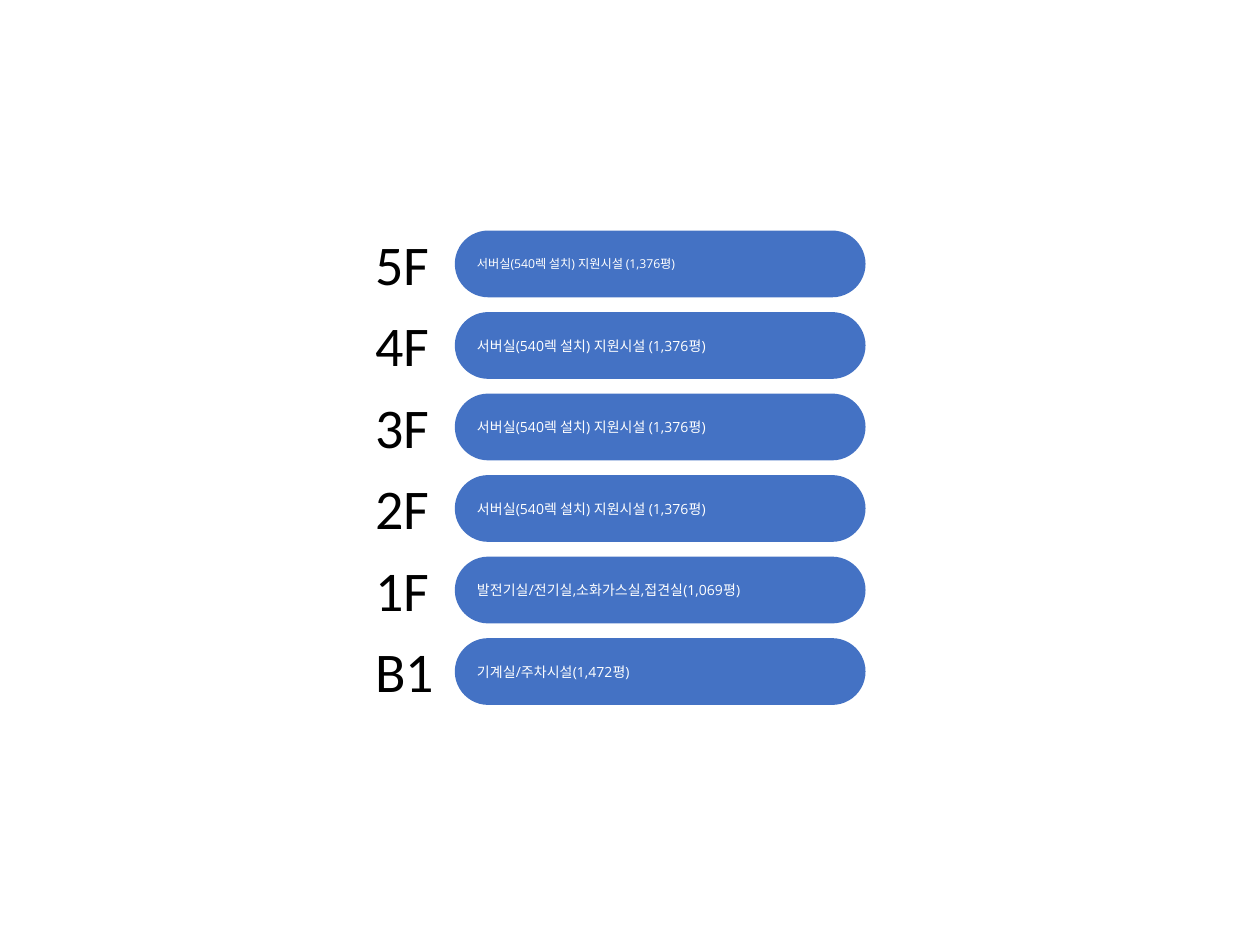
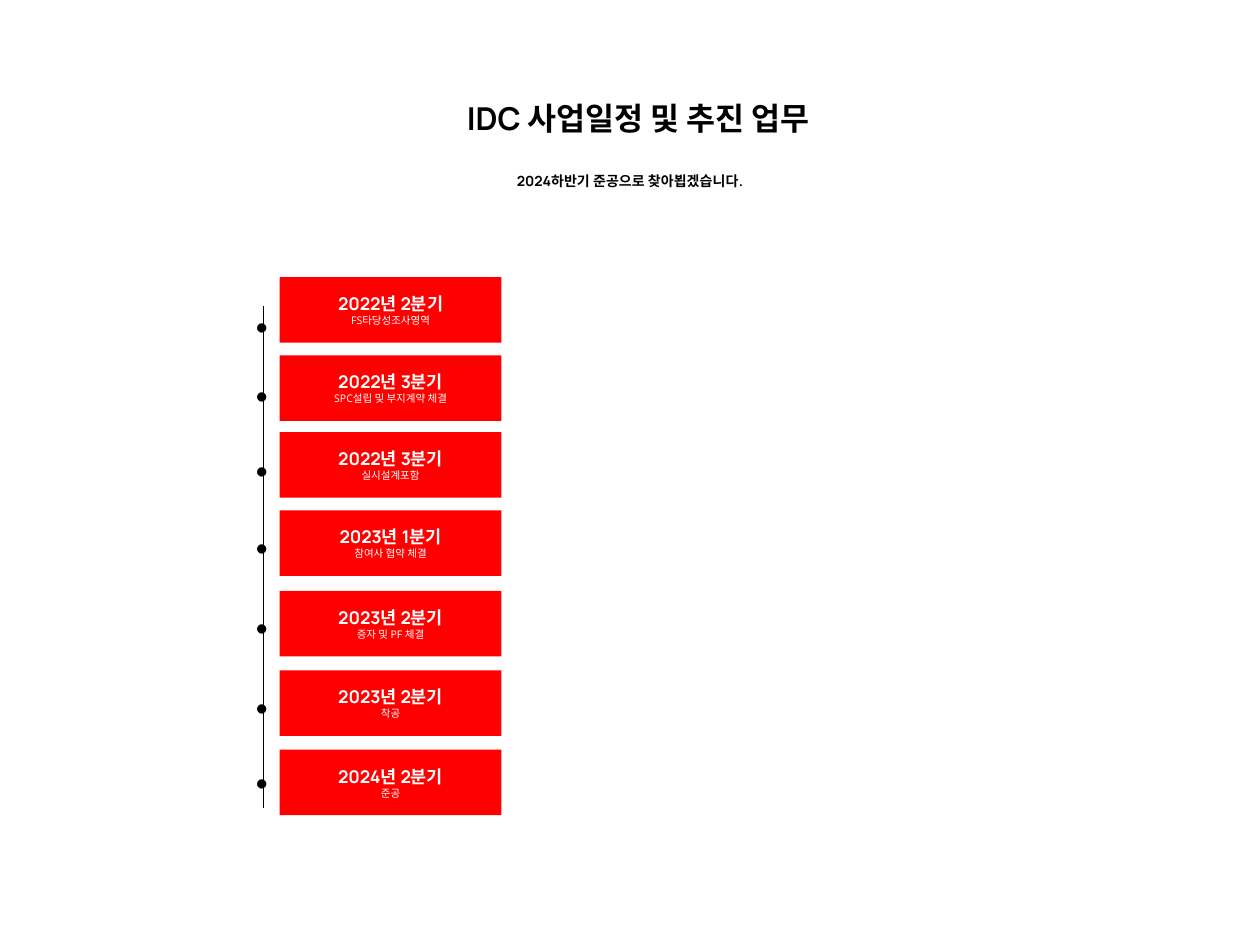
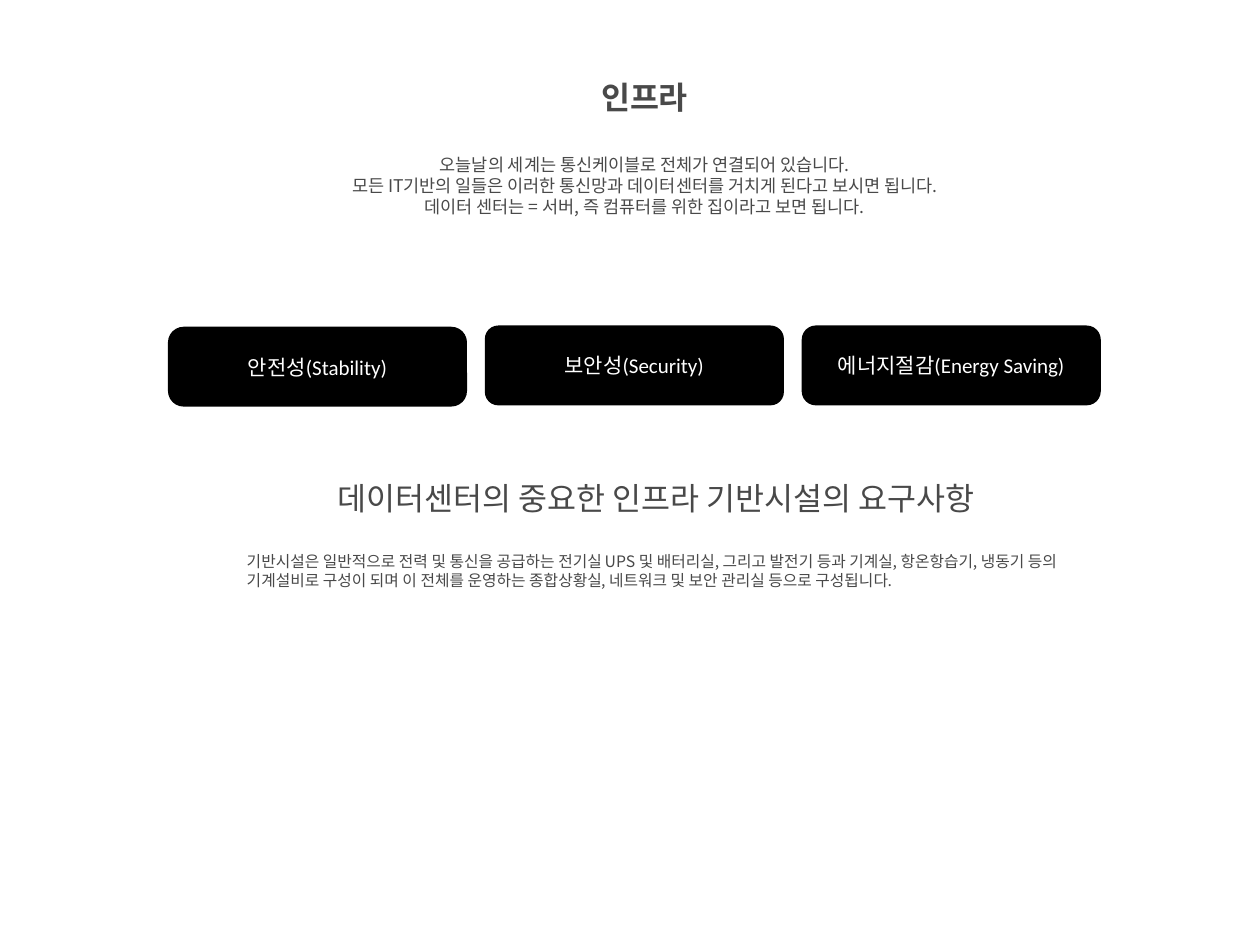
from pptx import Presentation
from pptx.dml.color import RGBColor
from pptx.enum.shapes import MSO_CONNECTOR, MSO_SHAPE
from pptx.enum.text import MSO_ANCHOR, MSO_AUTO_SIZE, PP_ALIGN
from pptx.oxml.ns import qn
from pptx.util import Inches, Pt
from lxml.etree import SubElement

BLACK = RGBColor(0x00, 0x00, 0x00)
WHITE = RGBColor(0xFF, 0xFF, 0xFF)
BLUE = RGBColor(0x44, 0x72, 0xC4)
RED = RGBColor(0xFF, 0x00, 0x00)
GRAY = RGBColor(0x49, 0x49, 0x49)
LEFT, CENTER = PP_ALIGN.LEFT, PP_ALIGN.CENTER
TOP, MIDDLE = MSO_ANCHOR.TOP, MSO_ANCHOR.MIDDLE
TITLE_SIZE = 18


def write(box, text, size, font, color, align=LEFT, anchor=TOP, bold=False, wrap=True):
    """Fill a box with text, one paragraph a line, in a single style."""
    frame = box.text_frame
    frame.text = text
    frame.auto_size = MSO_AUTO_SIZE.NONE
    frame.word_wrap = wrap
    frame.vertical_anchor = anchor
    for para in frame.paragraphs:
        para.alignment = align
        for span in para.runs:
            span.font.size = Pt(size)
            span.font.name = font
            span.font.bold = bold
            span.font.color.rgb = color


def add_panel(slide, kind, area, fill):
    """Add a flat preset shape without outline."""
    panel = slide.shapes.add_shape(kind, *map(Inches, area))
    panel.shadow.inherit = False
    panel.fill.solid()
    panel.fill.fore_color.rgb = fill
    panel.line.fill.background()
    return panel


deck = Presentation()
deck.slide_width, deck.slide_height = Inches(10), Inches(7.5)
title_only, blank = deck.slide_layouts[5], deck.slide_layouts[6]

# Slide 1: building floors, top to bottom
server_room = "서버실(540렉 설치) 지원시설 (1,376평)"
floors = [
    ("5F", server_room, 7),
    ("4F", server_room, 8),
    ("3F", server_room, 8),
    ("2F", server_room, 8),
    ("1F", "발전기실/전기실,소화가스실,접견실(1,069평)", 8),
    ("B1", "기계실/주차시설(1,472평)", 8),
]
FLOOR_TOP, FLOOR_PITCH = 1.83, 0.647
slide = deck.slides.add_slide(blank)
for row, (floor, use, size) in enumerate(floors):
    top = FLOOR_TOP + row * FLOOR_PITCH
    bar = add_panel(slide, MSO_SHAPE.ROUNDED_RECTANGLE, (3.61, top, 3.26, 0.53), BLUE)
    bar.adjustments[0] = 0.5
    write(bar, use, size, "Open Sans", WHITE, anchor=MIDDLE)
    label = slide.shapes.add_textbox(*map(Inches, (2.88, top - 0.06, 0.65, 0.64)))
    write(label, floor, 32, "Calibri", BLACK, wrap=False)

# Slide 2: project schedule
slide = deck.slides.add_slide(title_only)
title = slide.shapes.title
title.left, title.top, title.width, title.height = map(Inches, (3.46, 0.77, 3.21, 0.33))
write(title, "IDC 사업일정 및 추진 업무", TITLE_SIZE, "Manrope", BLACK, CENTER, MIDDLE, True)
subtitle = add_panel(slide, MSO_SHAPE.RECTANGLE, (3.57, 1.27, 2.86, 0.33), WHITE)
write(subtitle, "2024하반기 준공으로 찾아뵙겠습니다.", 8, "Manrope", BLACK, CENTER, MIDDLE, True)

# Timeline with a dot beside each milestone
timeline = slide.shapes.add_connector(
    MSO_CONNECTOR.STRAIGHT, *map(Inches, (2.09, 2.43, 2.09, 6.41)))
timeline.line.color.rgb = BLACK
timeline.line.width = Pt(0.5)
SubElement(timeline._element.spPr, qn("a:effectLst"))

milestones = [  # card top, dot top, quarter, work
    (2.20, 1.98, "2022년 2분기", "FS타당성조사영역"),
    (2.82, 2.53, "2022년 3분기", "SPC설립 및 부지계약 체결"),
    (3.43, 3.12, "2022년 3분기", "실시설계포함"),
    (4.05, 3.73, "2023년 1분기", "참여사 협약 체결"),
    (4.69, 4.37, "2023년 2분기", "증자 및 PF 체결"),
    (5.32, 5.00, "2023년 2분기", "착공"),
    (5.95, 5.60, "2024년 2분기", "준공"),
]
for card_top, dot_top, quarter, work in milestones:
    card = add_panel(slide, MSO_SHAPE.RECTANGLE, (2.22, card_top, 1.76, 0.52), RED)
    write(card, f"{quarter}\n{work}", 10, "Manrope", WHITE, CENTER, MIDDLE, True)
    work_font = card.text_frame.paragraphs[1].runs[0].font
    work_font.size, work_font.name, work_font.bold = Pt(6), "Open Sans", False
    dot = slide.shapes.add_textbox(*map(Inches, (1.91, dot_top, 0.36, 0.84)))
    write(dot, ".", 44, "Calibri", BLACK, wrap=False)

# Slide 3: infrastructure
slide = deck.slides.add_slide(title_only)
title = slide.shapes.title
title.left, title.top, title.width, title.height = map(Inches, (2.29, 0.57, 5.65, 0.4))
write(title, "인프라", TITLE_SIZE, "League Spartan", GRAY, CENTER, bold=True)

texts = [
    ((2.29, 1.17, 5.65, 0.61), 10, CENTER,
     "오늘날의 세계는 통신케이블로 전체가 연결되어 있습니다.\n"
     "모든 IT기반의 일들은 이러한 통신망과 데이터센터를 거치게 된다고 보시면 됩니다.\n"
     "데이터 센터는 = 서버, 즉 컴퓨터를 위한 집이라고 보면 됩니다."),
    ((2.58, 3.75, 5.65, 0.4), 18, LEFT, "데이터센터의 중요한 인프라 기반시설의 요구사항"),
    ((1.86, 4.33, 6.75, 0.4), 9, LEFT,
     "기반시설은 일반적으로 전력 및 통신을 공급하는 전기실 UPS 및 배터리실, "
     "그리고 발전기 등과 기계실, 항온항습기, 냉동기 등의 기계설비로 구성이 되며 "
     "이 전체를 운영하는 종합상황실, 네트워크 및 보안 관리실 등으로 구성됩니다."),
]
for area, size, align, text in texts:
    box = slide.shapes.add_textbox(*map(Inches, area))
    write(box, text, size, "Noto Sans CJK KR", GRAY, align)

# Three requirements in a row
requirements = [
    ("안전성(Stability)", 2.60, 0.19),
    ("보안성(Security)", 2.59, 0.16),
    ("에너지절감(Energy Saving)", 2.59, 0.17),
]
for column, (requirement, top, rounding) in enumerate(requirements):
    area = (1.34 + column * 2.515, top, 2.36, 0.62)
    button = add_panel(slide, MSO_SHAPE.ROUNDED_RECTANGLE, area, BLACK)
    button.adjustments[0] = rounding
    button.line.color.rgb = BLACK
    button.line.width = Pt(1)
    write(button, requirement, 12, "Calibri", WHITE, CENTER, MIDDLE)

deck.save("out.pptx")
